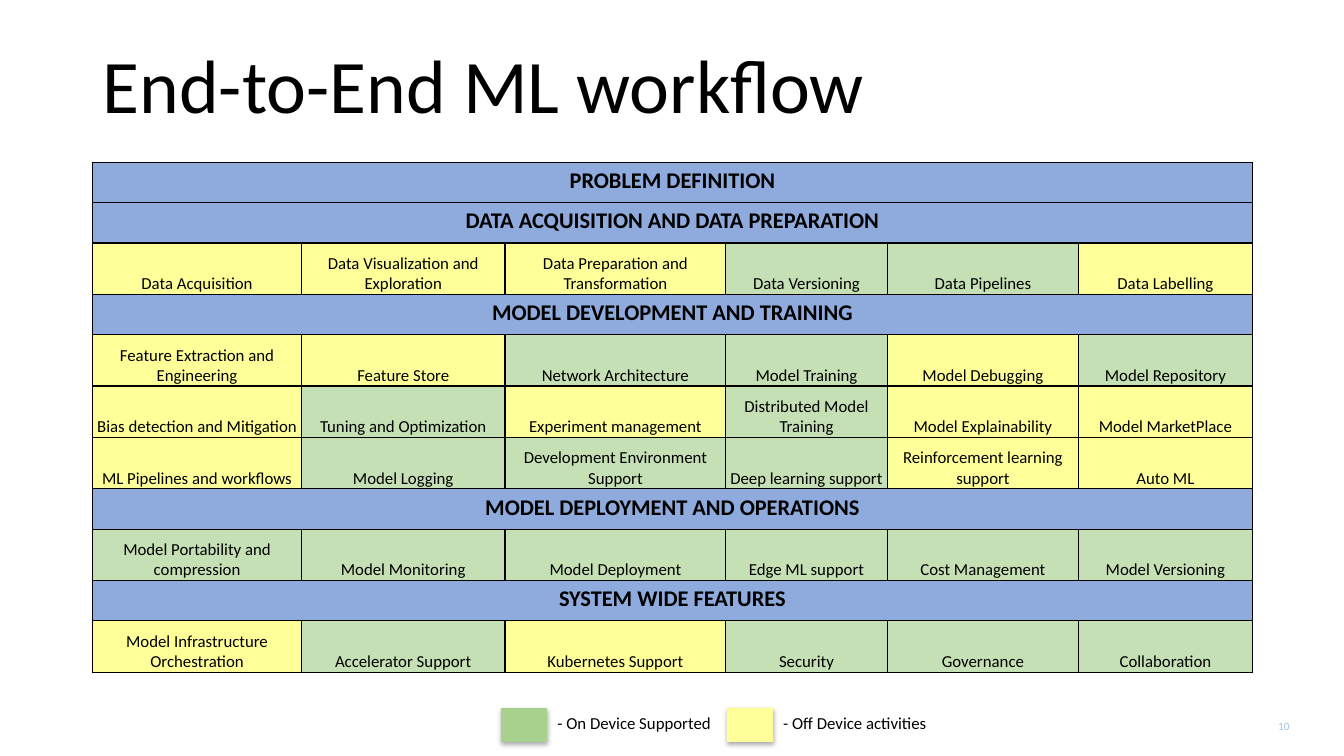
"""Build the End-to-End ML workflow slide with its table and legend."""
from dataclasses import dataclass
from typing import Any

from lxml import etree
from pptx import Presentation
from pptx import util as u
from pptx.dml import color as c
from pptx.enum import shapes as s
from pptx.enum import text as t
from pptx.oxml import ns

BLACK = c.RGBColor(0x00, 0x00, 0x00)
HEADING_BLUE = c.RGBColor(0x8F, 0xAA, 0xDC)
ON_DEVICE_GREEN = c.RGBColor(0xC5, 0xE0, 0xB4)
OFF_DEVICE_YELLOW = c.RGBColor(0xFF, 0xFF, 0x99)
LEGEND_GREEN = c.RGBColor(0xA9, 0xD1, 0x8E)
PAGE_BLUE = c.RGBColor(0x9D, 0xC3, 0xE6)
SUPPORT_COLORS = {"G": ON_DEVICE_GREEN, "Y": OFF_DEVICE_YELLOW}

FONT = "Calibri"
COLUMN_WIDTHS = (2.07, 2.02, 2.19, 1.6, 1.9, 1.72)
HEADING_HEIGHT = 0.4
ACTIVITY_HEIGHT = 0.51
BORDER_SIDES = ("a:lnL", "a:lnR", "a:lnT", "a:lnB")

HEADING_CELL = {}
ACTIVITY_CELL = {
    "vertical_anchor": t.MSO_ANCHOR.BOTTOM,
    "margin_left": u.Inches(0.01),
    "margin_right": u.Inches(0.01),
    "margin_top": u.Inches(0.01),
    "margin_bottom": 0,
}
PAGE_FRAME = {
    "margin_left": 0,
    "margin_right": 0,
    "margin_top": 0,
    "margin_bottom": 0,
    "word_wrap": False,
    "vertical_anchor": t.MSO_ANCHOR.BOTTOM,
}


@dataclass(frozen=True)
class Activities:
    support: str
    names: tuple[str, ...]


@dataclass(frozen=True)
class Stage:
    heading: str
    rows: tuple[Activities, ...] = ()


@dataclass(frozen=True)
class LegendEntry:
    left: float
    label_width: float
    outline: s.MSO_SHAPE
    color: c.RGBColor
    label: str


STAGES = (
    Stage("PROBLEM DEFINITION"),
    Stage("DATA ACQUISITION AND DATA PREPARATION", (
        Activities("YYYGGY", (
            "Data Acquisition", "Data Visualization and Exploration",
            "Data Preparation and Transformation", "Data Versioning",
            "Data Pipelines", "Data Labelling")),
    )),
    Stage("MODEL DEVELOPMENT AND TRAINING", (
        Activities("YYGGYG", (
            "Feature Extraction and Engineering", "Feature Store",
            "Network Architecture", "Model Training",
            "Model Debugging", "Model Repository")),
        Activities("YGYGYY", (
            "Bias detection and Mitigation", "Tuning and Optimization",
            "Experiment management", "Distributed Model Training",
            "Model Explainability", "Model MarketPlace")),
        Activities("YGGGYY", (
            "ML Pipelines and workflows", "Model Logging",
            "Development Environment Support", "Deep learning support",
            "Reinforcement learning support", "Auto ML")),
    )),
    Stage("MODEL DEPLOYMENT AND OPERATIONS", (
        Activities("GGGGGG", (
            "Model Portability and compression", "Model Monitoring",
            "Model Deployment", "Edge ML support",
            "Cost Management", "Model Versioning")),
    )),
    Stage("SYSTEM WIDE FEATURES", (
        Activities("YGYGGG", (
            "Model Infrastructure Orchestration", "Accelerator Support",
            "Kubernetes Support", "Security",
            "Governance", "Collaboration")),
    )),
)

LEGEND = (
    LegendEntry(4.97, 1.78, s.MSO_SHAPE.FLOWCHART_PROCESS, LEGEND_GREEN,
                "- On Device Supported"),
    LegendEntry(7.21, 1.7, s.MSO_SHAPE.RECTANGLE, OFF_DEVICE_YELLOW,
                "- Off Device activities"),
)


def apply_format(target: Any, values: dict[str, Any]) -> None:
    for attribute, value in values.items():
        setattr(target, attribute, value)


def write(paragraph: Any, words: str, size: float, color: c.RGBColor = BLACK,
          bold: bool = False, **layout: Any) -> None:
    run = paragraph.add_run()
    run.text = words
    apply_format(run.font, {"name": FONT, "size": u.Pt(size), "bold": bold})
    run.font.color.rgb = color
    apply_format(paragraph, layout)


def add_label(slide: Any, box: tuple[float, ...], frame: dict[str, Any],
              words: str, size: float, **style: Any) -> None:
    label = slide.shapes.add_textbox(*map(u.Inches, box)).text_frame
    apply_format(label, {"word_wrap": True, **frame})
    write(label.paragraphs[0], words, size, **style)


def style_cell(cell: Any, color: c.RGBColor, layout: dict[str, Any]) -> None:
    apply_format(cell, layout)
    properties = cell._tc.get_or_add_tcPr()
    for side in BORDER_SIDES:
        border = etree.SubElement(properties, ns.qn(side), w=str(u.Pt(1)))
        paint = etree.SubElement(border, ns.qn("a:solidFill"))
        etree.SubElement(paint, ns.qn("a:srgbClr"), val=str(BLACK))
    cell.fill.solid()
    cell.fill.fore_color.rgb = color


def fill_heading(table: Any, row: int, heading: str) -> None:
    table.rows[row].height = u.Inches(HEADING_HEIGHT)
    cells = list(table.rows[row].cells)
    for cell in cells:
        style_cell(cell, HEADING_BLUE, HEADING_CELL)
    cells[0].merge(cells[-1])
    write(cells[0].text_frame.paragraphs[0], heading, 16, bold=True,
          alignment=t.PP_ALIGN.CENTER)


def fill_activities(table: Any, row: int, activities: Activities) -> None:
    table.rows[row].height = u.Inches(ACTIVITY_HEIGHT)
    for cell, support, name in zip(table.rows[row].cells, activities.support,
                                   activities.names):
        style_cell(cell, SUPPORT_COLORS[support], ACTIVITY_CELL)
        write(cell.text_frame.paragraphs[0], name, 12,
              alignment=t.PP_ALIGN.CENTER)


def add_workflow(slide: Any) -> None:
    lines = [line for stage in STAGES for line in (stage.heading, *stage.rows)]
    table = slide.shapes.add_table(
        len(lines), len(COLUMN_WIDTHS), u.Inches(0.92), u.Inches(1.61),
        u.Inches(sum(COLUMN_WIDTHS)), u.Inches(5.08)).table
    apply_format(table, {"first_row": False, "horz_banding": False})
    for column, width in zip(table.columns, COLUMN_WIDTHS):
        column.width = u.Inches(width)
    for row, line in enumerate(lines):
        if isinstance(line, Activities):
            fill_activities(table, row, line)
        else:
            fill_heading(table, row, line)


def add_legend_entry(slide: Any, entry: LegendEntry) -> None:
    swatch = slide.shapes.add_shape(
        entry.outline, *map(u.Inches, (entry.left, 7.02, 0.46, 0.34)))
    swatch.fill.solid()
    swatch.fill.fore_color.rgb = entry.color
    swatch.line.fill.background()
    swatch.shadow.inherit = False
    effects = swatch._element.spPr.find(ns.qn("a:effectLst"))
    shadow = etree.SubElement(
        effects, ns.qn("a:outerShdw"), blurRad=str(u.Pt(3.5)),
        dist=str(u.Pt(2.2)), dir="5400000", algn="ctr", rotWithShape="0")
    tint = etree.SubElement(shadow, ns.qn("a:srgbClr"), val=str(BLACK))
    etree.SubElement(tint, ns.qn("a:alpha"), val="32000")
    add_label(slide, (entry.left + 0.46, 7.02, entry.label_width, 0.3), {},
              entry.label, 12)


def main() -> None:
    deck = Presentation()
    apply_format(deck, {"slide_width": u.Inches(13.33),
                        "slide_height": u.Inches(7.5)})
    slide = deck.slides.add_slide(deck.slide_layouts[6])
    add_label(slide, (12.65, 7.12, 0.14, 0.15), PAGE_FRAME, "10", 8,
              color=PAGE_BLUE, alignment=t.PP_ALIGN.RIGHT, line_spacing=1.25)
    add_label(slide, (0.92, 0.32, 11.5, 1.02),
              {"vertical_anchor": t.MSO_ANCHOR.BOTTOM},
              "End-to-End ML workflow", 54, line_spacing=0.9)
    add_workflow(slide)
    for entry in LEGEND:
        add_legend_entry(slide, entry)
    deck.save("out.pptx")


if __name__ == "__main__":
    main()
